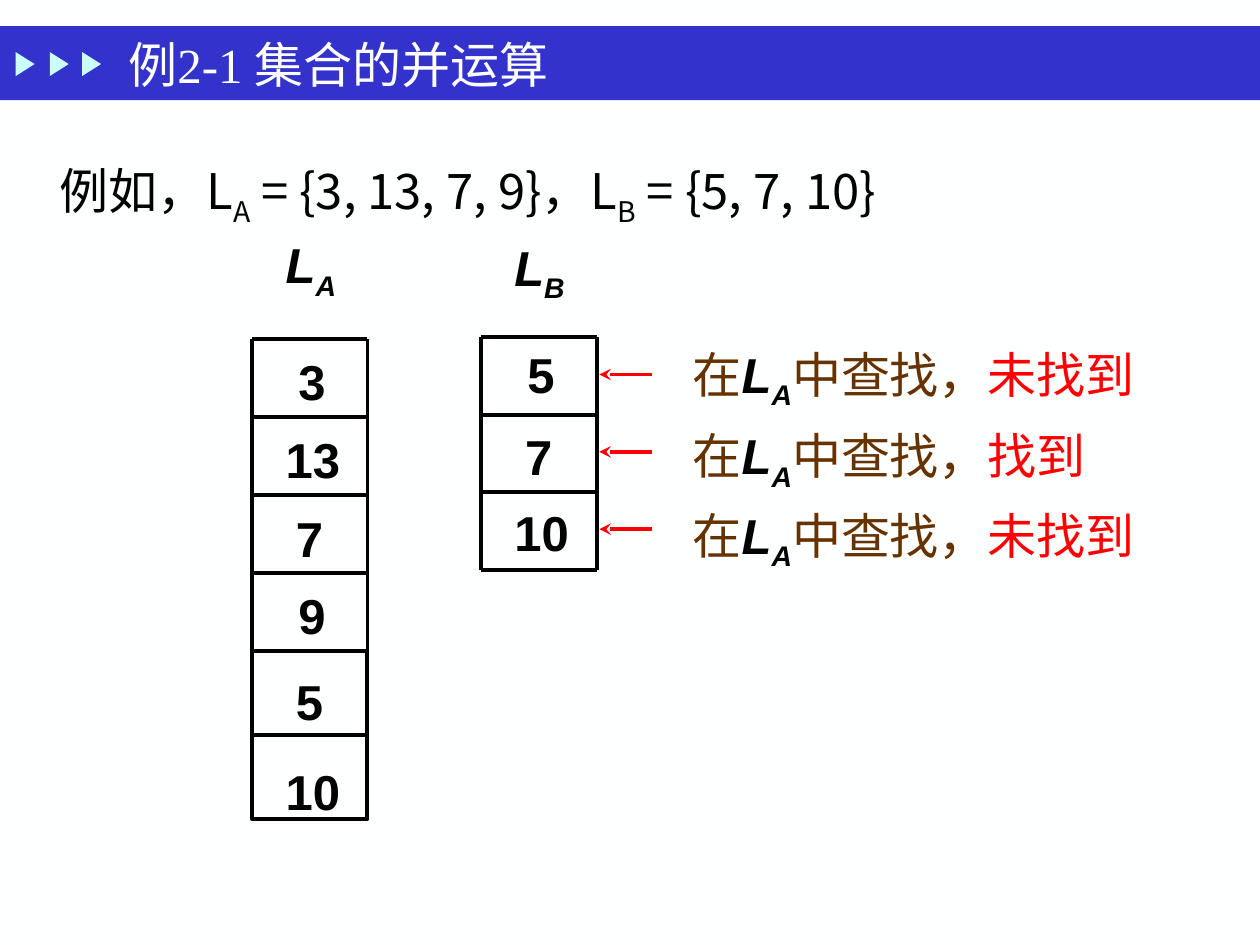
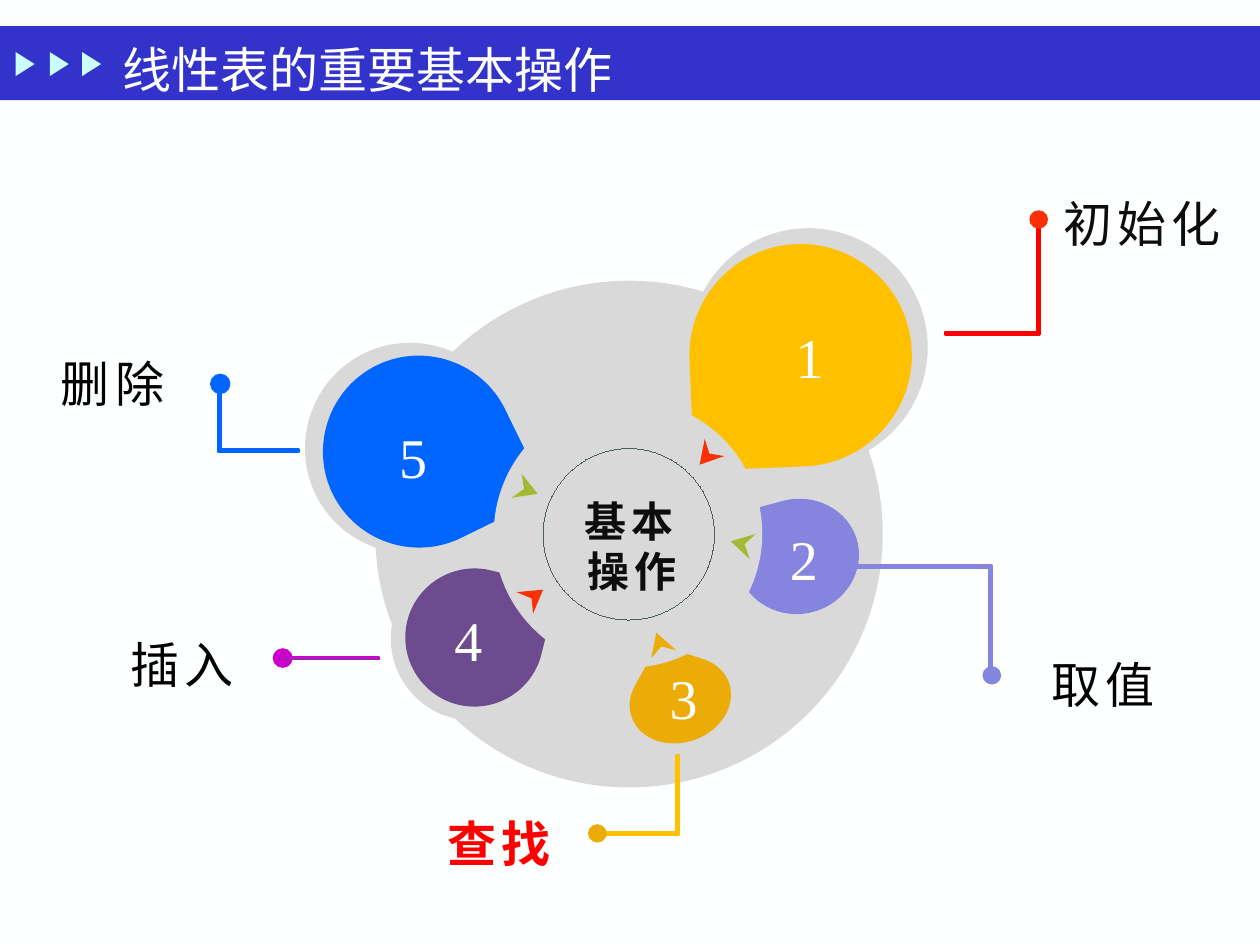
import math
from dataclasses import dataclass
from typing import Optional

import lxml.etree
import pptx
import pptx.dml.color
import pptx.enum.shapes
import pptx.enum.text
import pptx.oxml.ns
import pptx.slide
import pptx.util

Pt = pptx.util.Pt
qn = pptx.oxml.ns.qn
KIND = pptx.enum.shapes.MSO_SHAPE
ANCHOR = pptx.enum.text.MSO_ANCHOR
Spot = tuple[float, float]

PAPER, BAND, MINT = "FEFFFF", "3333CC", "CBFFFF"
BLACK, INK, WHITE = "000000", "0D0D0D", "FFFFFF"
RED, BROWN, GREY = "FF0000", "663300", "D9D9D9"
FLAME, LEAF, OCHRE, GOLD = "F83003", "A2B932", "EBAC07", "FFC000"
BLUE, PLUM, LILAC, PINK = "0066FF", "6C4C8F", "8585E0", "CC00CC"
ROMAN, SANS, HAN = "Times New Roman", "Arial", "Noto Sans CJK SC"


@dataclass
class Run:
    text: str
    color: str = BLACK
    font: str = SANS
    size: float = 28
    bold: bool = False
    slant: bool = False
    sub: bool = False
    track: float = 0


@dataclass
class Box:
    left: float
    top: float
    width: float
    height: float


@dataclass
class Style:
    lines: float = 0
    middle: bool = False
    center: bool = False
    grow: bool = True
    wrap: bool = True
    lead: bool = False
    inset: Spot = (7.2, 3.6)


@dataclass
class Cell:
    text: str
    left: float
    top: float


@dataclass
class Drop:
    """Three quarters of an ellipse with axes u and v, drawn out to a tip at -u + v."""
    color: str
    mid: Spot
    u: Spot
    v: Optional[Spot] = None

    def points(self) -> list[Spot]:
        """Give the start, three Bézier triples and the tip."""
        v = self.v or (self.u[1], -self.u[0])
        k = 0.55
        turns = [(0, 1), (k, 1), (1, k), (1, 0), (1, -k), (k, -1), (0, -1),
                 (-k, -1), (-1, -k), (-1, 0), (-1, 1)]
        return [(self.mid[0] + self.u[0] * a + v[0] * b,
                 self.mid[1] + self.u[1] * a + v[1] * b) for a, b in turns]


@dataclass
class Elbow:
    """A bent bar: its outer corner and the reach of both arms."""
    color: str
    corner: Spot
    reach: Spot

    def points(self) -> list[Spot]:
        (x, y), (dx, dy) = self.corner, self.reach
        wide = 1.4
        inx, iny = x + math.copysign(wide, dx), y + math.copysign(wide, dy)
        return [(x, y), (x + dx, y), (x + dx, iny), (inx, iny), (inx, y + dy), (x, y + dy)]


@dataclass
class Label:
    text: str
    box: Box
    color: str = BLACK
    size: float = 28
    bold: bool = False
    wrap: bool = False


def hue(code: str) -> pptx.dml.color.RGBColor:
    return pptx.dml.color.RGBColor.from_string(code)


def paint(shape, fill: str = "", line: str = "", width: float = 0) -> None:
    shape.shadow.inherit = False
    if fill:
        shape.fill.solid()
        shape.fill.fore_color.rgb = hue(fill)
    else:
        shape.fill.background()
    if line:
        shape.line.color.rgb = hue(line)
        shape.line.width = Pt(width)
    else:
        shape.line.fill.background()


def form(slide: pptx.slide.Slide, kind, box: Box, fill: str = "",
         line: str = "", width: float = 0, turn: float = 0):
    shape = slide.shapes.add_shape(kind, Pt(box.left), Pt(box.top), Pt(box.width), Pt(box.height))
    shape.rotation = turn
    paint(shape, fill, line, width)
    return shape


def shard(slide: pptx.slide.Slide, points: list[Spot], fill: str,
          line: str = "", width: float = 0, curves: int = 0) -> None:
    """Draw a closed outline; the first curves take three points each."""
    spots = [(Pt(x), Pt(y)) for x, y in points]
    pen = slide.shapes.build_freeform(*spots[0])
    pen.add_line_segments(spots[1:], close=True)
    shape = pen.convert_to_shape()
    paint(shape, fill, line, width)
    steps = list(shape._element.iter(qn("a:lnTo")))
    for i in range(0, 3 * curves, 3):
        bend = lxml.etree.Element(qn("a:cubicBezTo"))
        steps[i].addprevious(bend)
        for step in steps[i:i + 3]:
            bend.append(step[0])
            step.getparent().remove(step)


def stroke(slide: pptx.slide.Slide, start: Spot, end: Spot, color: str = BLACK,
           arrow: bool = False) -> None:
    line = slide.shapes.add_connector(pptx.enum.shapes.MSO_CONNECTOR.STRAIGHT,
                                      *(Pt(n) for n in start + end))
    line.line.color.rgb = hue(color)
    line.line.width = Pt(2.25)
    if arrow:
        lxml.etree.SubElement(line.line._get_or_add_ln(), qn("a:tailEnd"), type="stealth")
    lxml.etree.SubElement(line._element.spPr, qn("a:effectLst"))


def write(slide: pptx.slide.Slide, box: Box, runs: list[Run], style: Style) -> None:
    shape = slide.shapes.add_textbox(Pt(box.left), Pt(box.top), Pt(box.width), Pt(box.height))
    frame = shape.text_frame
    frame.word_wrap = style.wrap
    frame.margin_left = frame.margin_right = Pt(style.inset[0])
    frame.margin_top = frame.margin_bottom = Pt(style.inset[1])
    frame.vertical_anchor = ANCHOR.MIDDLE if style.middle else ANCHOR.TOP
    if style.grow:
        frame.auto_size = pptx.enum.text.MSO_AUTO_SIZE.SHAPE_TO_FIT_TEXT
    para = frame.paragraphs[0]
    if style.center:
        para.alignment = pptx.enum.text.PP_ALIGN.CENTER
    if style.lines:
        para.line_spacing = style.lines
    if style.lead:
        space = lxml.etree.SubElement(para._p.get_or_add_pPr(), qn("a:spcBef"))
        lxml.etree.SubElement(space, qn("a:spcPct"), val="50000")
    for item in runs:
        run = para.add_run()
        run.text = item.text
        font = run.font
        font.name, font.size = item.font, Pt(item.size)
        font.bold, font.italic = item.bold, item.slant
        font.color.rgb = hue(item.color)
        props = run._r.get_or_add_rPr()
        lxml.etree.SubElement(props, qn("a:ea"), typeface=HAN)
        if item.sub:
            props.set("baseline", "-25000")
        if item.track:
            props.set("spc", str(round(item.track * 100)))


def dress(deck, slide: pptx.slide.Slide) -> None:
    """Put the background and band on the master, shaping them on a slide first."""
    master = deck.slide_master
    master.background.fill.solid()
    master.background.fill.fore_color.rgb = hue(PAPER)
    parts = [form(slide, KIND.RECTANGLE, Box(0, 15, 720, 42.3), BAND)]
    for left in (7.5, 27, 45.5):
        parts.append(form(slide, KIND.ISOSCELES_TRIANGLE, Box(left, 31.2, 13.7, 10.8),
                          MINT, turn=90))
    for i, part in enumerate(parts):
        part._element.nvSpPr.cNvPr.set("id", str(20 + i))
        master.shapes._spTree.append(part._element)


def title(slide: pptx.slide.Slide, text: str, box: Box, inset: float = 7.2) -> None:
    write(slide, box, [Run(text, PAPER, ROMAN)],
          Style(middle=True, grow=False, inset=(inset, 3.6)))


def name(sub: str) -> list[Run]:
    return [Run("L", bold=True, slant=True), Run(sub, bold=True, slant=True, sub=True)]


def grid(slide: pptx.slide.Slide, left: float, top: float, step: float, rows: int) -> None:
    right, low = left + 66, top + step * rows
    for x in (left, right):
        stroke(slide, (x, top), (x, low))
    for i in range(rows + 1):
        stroke(slide, (left, top + step * i), (right, top + step * i))


def union(slide: pptx.slide.Slide) -> None:
    title(slide, "例2-1 集合的并运算", Box(66.4, 18.7, 504, 36))
    parts = ["例如，L", "A", " = {3, 13, 7, 9}，L", "B", " = {5, 7, 10}"]
    write(slide, Box(27, 69.3, 666, 59),
          [Run(part, font=HAN, sub=i % 2 == 1) for i, part in enumerate(parts)],
          Style(lines=1.5, grow=False))

    tall = Style(lines=1.5, middle=True, lead=True)
    plain = Style(lead=True)
    grid(slide, 144, 193.6, 44.64, 4)
    grid(slide, 275, 192.5, 44.4, 3)
    for top, high in ((372.2, 47.8), (420.2, 48)):
        form(slide, KIND.RECTANGLE, Box(144, top, 66, high), "", BLACK, 2.25)
    write(slide, Box(156.2, 131, 48.2, 44.6), name("A"), Style(middle=True, lead=True))
    write(slide, Box(286.8, 132.2, 48.2, 61), name("B"), plain)

    first = [Cell("3", 163.4, 180.7), Cell("13", 156.2, 225.4), Cell("7", 162, 270.7),
             Cell("9", 163.4, 314.6)]
    added = [Cell("5", 162, 366.2), Cell("10", 156.2, 417.6)]
    second = [Cell("5", 294.3, 193.4), Cell("7", 293, 240.1), Cell("10", 286.8, 283.8)]
    for cells, high, style in ((first, 57, tall), (added, 52, tall), (second, 61, plain)):
        for cell in cells:
            write(slide, Box(cell.left, cell.top, 54, high),
                  [Run(cell.text, bold=True)], style)

    finds = [("未找到", 193.3), ("找到", 239.9), ("未找到", 285.3)]
    for i, (found, top) in enumerate(finds):
        y = 214 + 44.2 * i
        stroke(slide, (372.6, y), (342.5, y), RED, True)
        write(slide, Box(388.8, top, 311, 41),
              [Run("在", BROWN), *name("A"), Run("中查找，", BROWN), Run(found, RED)], plain)


def wheel(slide: pptx.slide.Slide) -> None:
    title(slide, "线性表的重要基本操作", Box(49.7, 17.7, 359.3, 43.2), 20.5)
    backs = [
        Drop(GREY, (462, 198.6), (-2.7, -68.1)),
        Drop(GREY, (234.5, 256.1), (-54.4, 25.9)),
        Drop(GREY, (270, 365), (-7.2, 46.1)),
    ]
    drops = [
        Drop(PLUM, (271.1, 364.3), (-9.6, 38.3)),
        Drop(BLUE, (239.4, 258.1), (-49.3, 24.1)),
        Drop(GOLD, (457.5, 203), (-2.7, -63.5)),
        Drop(LILAC, (456, 318), (33.8, -9), (-8.6, -31.7)),
        Drop(OCHRE, (388.8, 400), (25.9, 8.3), (13, -23.4)),
    ]
    for drop in backs:
        shard(slide, drop.points(), drop.color, curves=3)
    form(slide, KIND.OVAL, Box(214.4, 160.4, 290, 289.6), GREY)
    for drop in drops:
        shard(slide, drop.points(), drop.color, curves=3)
    form(slide, KIND.OVAL, Box(282.2, 228.2, 153.4, 153.4), GREY)

    darts = [
        (FLAME, [(295.2, 338.4), (310.3, 337), (304.6, 350.6), (303.8, 342)]),
        (LEAF, [(298.1, 270.7), (307.2, 282.2), (292.3, 284.4), (299.5, 279.4)]),
        (FLAME, [(414, 260.6), (399.8, 265.5), (402.7, 250.8), (405.4, 259.2)]),
        (LEAF, [(428.4, 319.5), (417.6, 309.4), (432, 305.1), (425.5, 311)]),
        (OCHRE, [(372.2, 376), (375.1, 361.6), (386.6, 371.7), (378, 369.4)]),
    ]
    for color, points in darts:
        shard(slide, points, color)
    form(slide, KIND.OVAL, Box(310.3, 256.3, 98, 98), "", "4C6062", 0.01)

    elbows = [
        Elbow(RED, (594, 191.2), (-54, -68.8)),
        Elbow(LILAC, (566.9, 323), (-98.2, 58.4)),
        Elbow(GOLD, (388, 477.2), (-48.2, -45.6)),
        Elbow(BLUE, (124.7, 258.2), (46.2, -41.6)),
    ]
    for elbow in elbows:
        shard(slide, elbow.points(), elbow.color, elbow.color, 1.5)
    dots = [(FLAME, 588.2, 120.2, ""), (LILAC, 561.4, 380.7, ""), (PINK, 156.2, 370.8, PINK),
            (OCHRE, 336, 471, "")]
    for color, left, top, line in dots:
        form(slide, KIND.OVAL, Box(left, top, 10.7, 10.5), color, line, 0.75)

    labels = [
        Label("基本操作", Box(313.5, 278.2, 95, 67.7), INK, 24, True, True),
        Label("初始化", Box(596.2, 105.8, 113, 43.9), INK),
        Label("查找", Box(244, 460, 82, 43.9), RED, bold=True),
        Label("插入", Box(63, 357.8, 82, 43.9)),
        Label("取值", Box(589.3, 369.2, 82, 43.9)),
        Label("删除", Box(23.3, 197, 82, 43.9)),
    ]
    marks = [(443.2, 179.3), (439.9, 294.9), (371.2, 374.4), (248.2, 341.3), (216.7, 236.2)]
    labels += [Label(str(i), Box(left, top, 38.9, 48.2), WHITE, 32)
               for i, (left, top) in enumerate(marks, 1)]
    for label in labels:
        write(slide, label.box,
              [Run(label.text, label.color, ROMAN, label.size, label.bold, track=3)],
              Style(center=True, wrap=label.wrap, inset=(9.4, 5)))
    form(slide, KIND.RECTANGLE, Box(161.3, 375.5, 55.4, 1.4), PLUM, PINK, 0.75)
    form(slide, KIND.OVAL, Box(120.4, 213.9, 10.9, 10.9), BLUE, BLUE, 0.75)


def main() -> None:
    deck = pptx.Presentation()
    deck.slide_width, deck.slide_height = Pt(720), Pt(540)
    blank = deck.slide_layouts[6]
    first, second = (deck.slides.add_slide(blank) for _ in range(2))
    dress(deck, first)
    union(first)
    wheel(second)
    deck.save("out.pptx")


if __name__ == "__main__":
    main()
